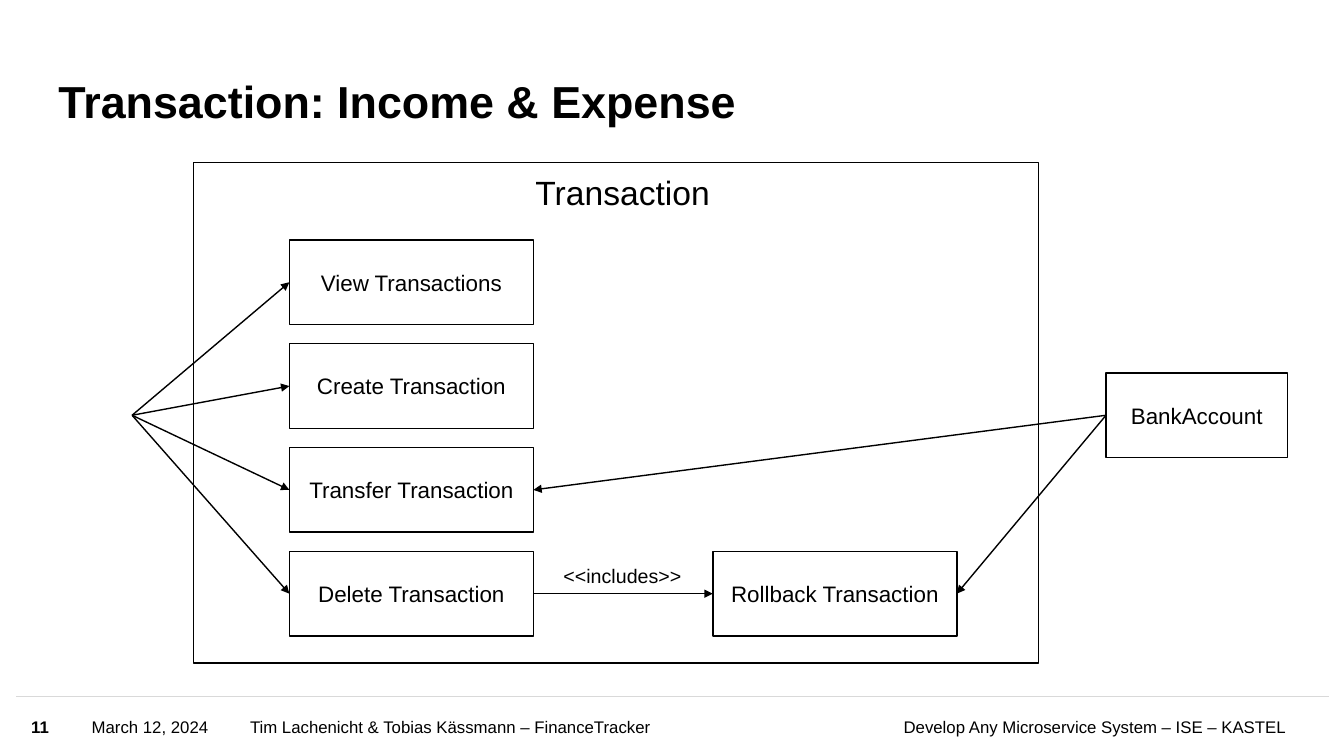
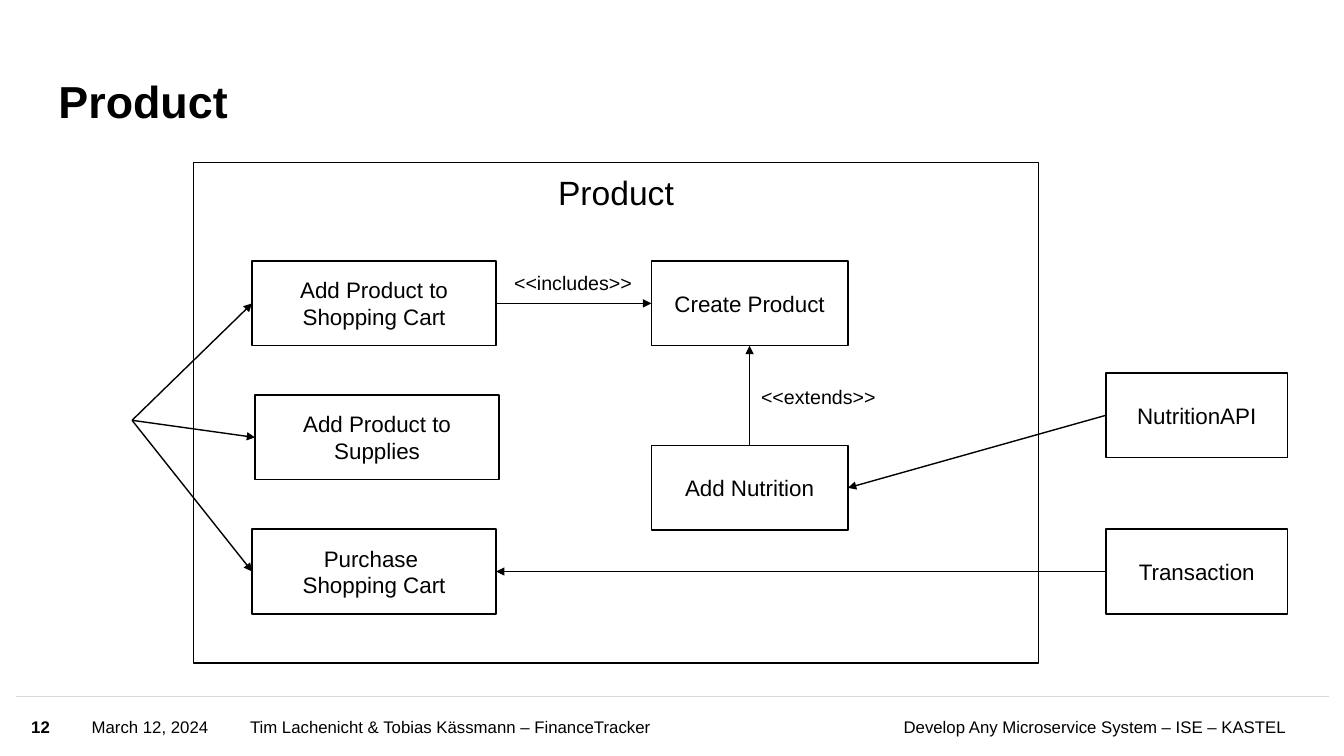
from dataclasses import dataclass

from lxml.etree import SubElement
from pptx import Presentation
from pptx.dml.color import RGBColor
from pptx.enum.shapes import MSO_CONNECTOR as Connector, MSO_SHAPE as Shape
from pptx.enum.text import MSO_ANCHOR as Anchor, MSO_AUTO_SIZE as AutoSize, PP_ALIGN as Align
from pptx.oxml.ns import qn
from pptx.util import Inches, Pt

TOP, LEFT, BOTTOM, RIGHT = range(4)


@dataclass(frozen=True)
class Theme:
    """Colours, font and type sizes of the deck."""
    ink: RGBColor = RGBColor(0x00, 0x00, 0x00)
    rule: RGBColor = RGBColor(0xD9, 0xD9, 0xD9)
    paper: RGBColor = RGBColor(0xFF, 0xFF, 0xFF)
    font: str = "Arial"
    title: int = 32
    heading: int = 24
    node: int = 16
    label: int = 14
    footer: int = 12
    line: int = 1


@dataclass(frozen=True)
class Box:
    """A rectangle in inches."""
    left: float
    top: float
    width: float
    height: float

    def inside(self, left, top, width, height):
        """Return a box placed relative to this one."""
        return Box(self.left + left, self.top + top, width, height)

    def lengths(self):
        """Return the rectangle as lengths."""
        return [Inches(value) for value in (self.left, self.top, self.width, self.height)]


THEME = Theme()
PAGE = Box(0, 0, 13.33, 7.5)
TITLE = Box(0.58, 0.43, 10.02, 0.84)
FOOTER = Box(0.16, 6.91, 13.02, 0.59)
DIAGRAM = Box(1.92, 1.61, 8.38, 4.97)
CASE_WIDTH, NODE_HEIGHT = 2.42, 0.84
EXTERNAL_LEFT, EXTERNAL_WIDTH = 9.05, 1.8
USER_LEFT = -0.61


def write_text(shape, text, size=THEME.node, bold=False, align=Align.LEFT,
               anchor=Anchor.MIDDLE, wrap=True, margin=None, spacing=None):
    """Fill a shape with formatted text, one paragraph per line."""
    frame = shape.text_frame
    frame.word_wrap = wrap
    frame.auto_size = AutoSize.NONE if wrap else AutoSize.SHAPE_TO_FIT_TEXT
    frame.vertical_anchor = anchor
    if margin is not None:
        frame.margin_left = frame.margin_right = Inches(margin)
        frame.margin_top = frame.margin_bottom = Inches(margin)
    frame.text = text
    for paragraph in frame.paragraphs:
        paragraph.alignment = align
        if spacing:
            paragraph.line_spacing = spacing
        for run in paragraph.runs:
            run.font.name = THEME.font
            run.font.size = Pt(size)
            run.font.bold = bold
            run.font.color.rgb = THEME.ink


def add_text(slide, box, text, **text_format):
    """Add a text box."""
    write_text(slide.shapes.add_textbox(*box.lengths()), text, **text_format)


def add_outline(slide, box):
    """Add an unfilled rectangle."""
    shape = slide.shapes.add_shape(Shape.RECTANGLE, *box.lengths())
    shape.shadow.inherit = False
    shape.fill.background()
    shape.line.color.rgb = THEME.ink
    shape.line.width = Pt(THEME.line)
    return shape


def add_node(slide, box, text):
    """Add a captioned rectangle."""
    shape = add_outline(slide, box)
    write_text(shape, text, align=Align.CENTER)
    return shape


def add_line(slide, start, end, color):
    """Add a straight line between two points in inches."""
    connector = slide.shapes.add_connector(
        Connector.STRAIGHT, *[Inches(value) for value in (*start, *end)])
    connector.line.color.rgb = color
    connector.line.width = Pt(THEME.line)
    SubElement(connector.element.spPr, qn("a:effectLst"))
    return connector


def add_arrow(slide, target, target_side, source=None, source_side=None, start=(0, 0)):
    """Add an arrow to a side of a node, from another node or a free point."""
    connector = add_line(slide, start, start, THEME.ink)
    if source is not None:
        connector.begin_connect(source, source_side)
    connector.end_connect(target, target_side)
    outline = connector.element.spPr.find(qn("a:ln"))
    SubElement(outline, qn("a:tailEnd"), type="triangle")


def add_footer(slide, box, number):
    """Add the rule and the footer texts."""
    add_line(slide, (box.left, box.top), (box.left + box.width, box.top), THEME.rule)
    entries = [
        (0.15, 0.48, str(number), True, Align.LEFT),
        (0.75, 1.5, "March 12, 2024", False, Align.LEFT),
        (2.32, 5.37, "Tim Lachenicht & Tobias Kässmann – FinanceTracker", False, Align.LEFT),
        (7.87, 4.73, "Develop Any Microservice System – ISE – KASTEL", False, Align.RIGHT),
    ]
    for left, width, text, bold, align in entries:
        add_text(slide, box.inside(left, 0.01, width, 0.58), text,
                 size=THEME.footer, bold=bold, align=align, margin=0)


def add_page(presentation, title, number):
    """Add a slide with its title and footer."""
    slide = presentation.slides.add_slide(presentation.slide_layouts[6])
    slide.background.fill.solid()
    slide.background.fill.fore_color.rgb = THEME.paper
    add_text(slide, TITLE, title, size=THEME.title, bold=True,
             anchor=Anchor.BOTTOM, margin=0, spacing=0.9)
    add_footer(slide, FOOTER, number)
    return slide


def add_system(slide, box, heading, heading_left, heading_width):
    """Add the system boundary with its heading."""
    add_outline(slide, box)
    add_text(slide, box.inside(heading_left, 0.05, heading_width, 0.5), heading,
             size=THEME.heading, align=Align.CENTER, anchor=Anchor.TOP, wrap=False)


def add_label(slide, box, text):
    """Add the caption of an arrow."""
    add_text(slide, box, text, size=THEME.label, anchor=Anchor.TOP, wrap=False)


def add_use_cases(slide, box, names, lefts, pitch, user_top):
    """Add a column of use cases, each reached by an arrow from the user."""
    user = (box.left + USER_LEFT, box.top + user_top)
    cases = []
    for row, (name, left) in enumerate(zip(names, lefts)):
        case = add_node(slide, box.inside(left, row * pitch, CASE_WIDTH, NODE_HEIGHT), name)
        add_arrow(slide, case, LEFT, start=user)
        cases.append(case)
    return cases


def add_external(slide, box, top, name):
    """Add an external system to the right of the boundary."""
    return add_node(slide, box.inside(EXTERNAL_LEFT, top, EXTERNAL_WIDTH, NODE_HEIGHT), name)


def add_transaction_diagram(slide, box):
    """Draw the use cases of transactions."""
    add_system(slide, box, "Transaction", 3.28, 1.95)
    names = ["View Transactions", "Create Transaction",
             "Transfer Transaction", "Delete Transaction"]
    column = box.inside(0, 0.77, box.width, box.height)
    cases = add_use_cases(slide, column, names, [0.95] * len(names), 1.03, 1.74)
    transfer, delete = cases[2:]
    rollback = add_node(slide, box.inside(5.15, 3.86, CASE_WIDTH, NODE_HEIGHT),
                        "Rollback Transaction")
    account = add_external(slide, box, 2.09, "BankAccount")
    add_arrow(slide, rollback, LEFT, delete, RIGHT)
    add_label(slide, box.inside(3.57, 3.94, 1.38, 0.34), "<<includes>>")
    for target in (transfer, rollback):
        add_arrow(slide, target, RIGHT, account, LEFT)


def add_product_diagram(slide, box):
    """Draw the use cases of products."""
    add_system(slide, box, "Product", 3.51, 1.36)
    names = ["Add Product to Shopping Cart", "Add Product to Supplies",
             "Purchase \nShopping Cart"]
    column = box.inside(0, 0.98, box.width, box.height)
    to_cart, _, purchase = add_use_cases(slide, column, names, [0.58, 0.61, 0.58], 1.33, 1.58)
    create, nutrition = [
        add_node(slide, box.inside(4.54, top, 1.95, NODE_HEIGHT), name)
        for top, name in ((0.98, "Create Product"), (2.81, "Add Nutrition"))]
    service = add_external(slide, box, 2.09, "NutritionAPI")
    transaction = add_external(slide, box, 3.64, "Transaction")
    add_arrow(slide, create, LEFT, to_cart, RIGHT)
    add_arrow(slide, create, BOTTOM, nutrition, TOP)
    add_arrow(slide, nutrition, RIGHT, service, LEFT)
    add_arrow(slide, purchase, RIGHT, transaction, LEFT)
    add_label(slide, box.inside(3.08, 1.03, 1.38, 0.34), "<<includes>>")
    add_label(slide, box.inside(5.53, 2.16, 1.34, 0.34), "<<extends>>")


def main():
    """Build and save the presentation."""
    presentation = Presentation()
    presentation.slide_width = Inches(PAGE.width)
    presentation.slide_height = Inches(PAGE.height)
    pages = [("Transaction: Income & Expense", add_transaction_diagram),
             ("Product", add_product_diagram)]
    for number, (title, add_diagram) in enumerate(pages, start=11):
        add_diagram(add_page(presentation, title, number), DIAGRAM)
    presentation.save("out.pptx")


if __name__ == "__main__":
    main()
